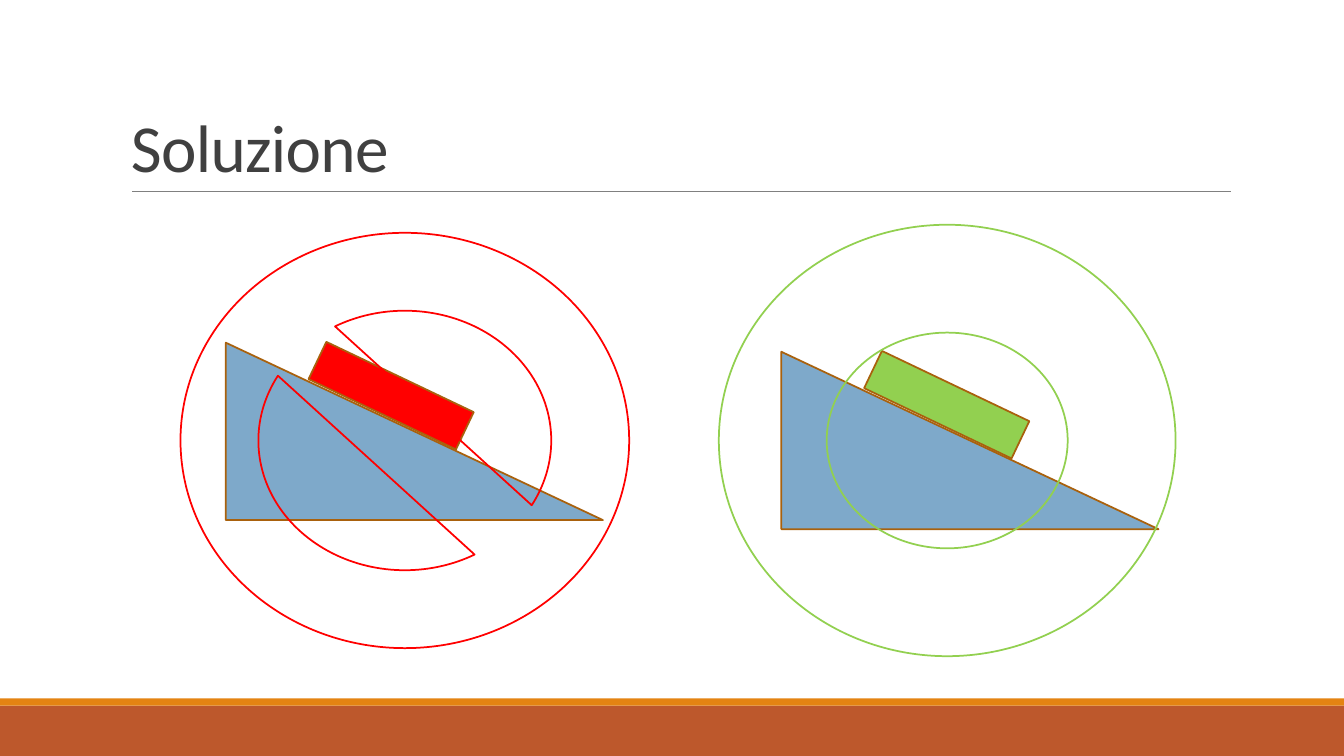
from lxml import etree
from pptx import Presentation
from pptx.dml.color import RGBColor
from pptx.enum import shapes as kinds, text as txt
from pptx.oxml import ns
from pptx.util import Inches, Pt

HUES = {
    "title": "404040", "rule": "808080", "band": "BD582C", "strip": "E48312",
    "ramp": "7EA9CA", "edge": "A9610D", "wrong": "FF0000", "right": "92D050",
}
WIDE, HIGH = 13.33, 7.5
FORM = kinds.MSO_SHAPE


def hue(name):
    return RGBColor.from_string(HUES[name])


def draw(slide, form, box, fill=None, line=None, turn=0):
    """Add a preset shape; box is left, top, width, height in inches."""
    shape = slide.shapes.add_shape(form, *map(Inches, box))
    shape.shadow.inherit = False
    shape.rotation = turn
    if fill:
        shape.fill.solid()
        shape.fill.fore_color.rgb = hue(fill)
    else:
        shape.fill.background()
    if line:
        shape.line.color.rgb = hue(line)
        shape.line.width = Pt(1.25)
    else:
        shape.line.fill.background()


def footer(slide, top, strip=0.07):
    draw(slide, FORM.RECTANGLE, (0, top + strip, WIDE, HIGH - top - strip), "band")
    draw(slide, FORM.RECTANGLE, (0, top, WIDE, strip), "strip")


def header(slide, left, top, width, height):
    """Place the title with a rule along the foot of its box."""
    foot = Inches(top + height)
    rule = slide.shapes.add_connector(
        kinds.MSO_CONNECTOR.STRAIGHT, Inches(left + 0.11), foot,
        Inches(left + width + 0.01), foot)
    rule.line.color.rgb = hue("rule")
    rule.line.width = Pt(0.5)
    etree.SubElement(rule._element.spPr, ns.qn("a:effectLst"))

    box = slide.shapes.add_textbox(*map(Inches, (left, top, width, height)))
    frame = box.text_frame
    frame.word_wrap = True
    frame.vertical_anchor = txt.MSO_ANCHOR.BOTTOM
    para = frame.paragraphs[0]
    para.line_spacing = 0.85
    run = para.add_run()
    run.text = "Soluzione"
    run.font.name = "Calibri"
    run.font.size = Pt(48)
    run.font.color.rgb = hue("title")
    run._r.get_or_add_rPr().set("spc", "-50")


def slope(slide, left, top, block):
    """Draw a ramp with a block resting on it."""
    draw(slide, FORM.RIGHT_TRIANGLE, (left, top, 3.74, 1.76), "ramp", "edge")
    draw(slide, FORM.RECTANGLE, (left + 0.83, top + 0.32, 1.62, 0.41),
         block, "edge", 25.5)


def main():
    deck = Presentation()
    deck.slide_width, deck.slide_height = Inches(WIDE), Inches(HIGH)
    slide = deck.slides.add_slide(deck.slide_layouts[6])
    footer(slide, 6.93)
    header(slide, 1.2, 0.31, 11, 1.59)
    slope(slide, 7.75, 3.49, "right")
    slope(slide, 2.24, 3.4, "wrong")
    draw(slide, FORM.NO_SYMBOL, (1.79, 2.31, 4.45, 4.12), line="wrong")
    draw(slide, FORM.DONUT, (7.13, 2.23, 4.53, 4.28), line="right")
    deck.save("out.pptx")


if __name__ == "__main__":
    main()
